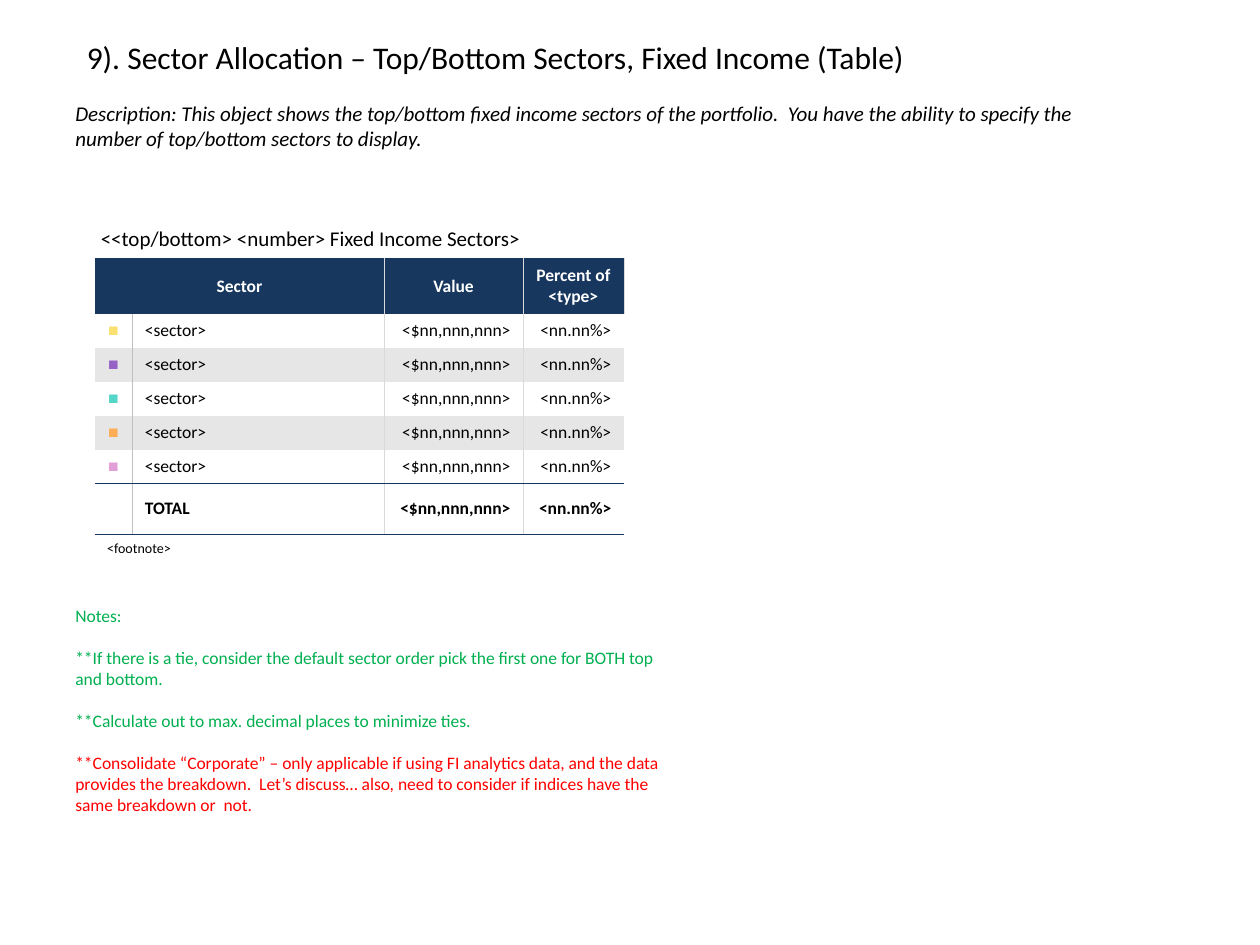
from lxml.etree import SubElement as Sub
from pptx import Presentation
from pptx.dml.color import RGBColor
from pptx.enum.text import MSO_ANCHOR as Anchor, PP_ALIGN as Align
from pptx.oxml.ns import qn
from pptx.util import Inches, Pt

NAVY, BLACK, WHITE = "17375E", "000000", "FFFFFF"
GRAY, PALE, BAND = "BFBFBF", "D9D9D9", "E6E6E6"
GREEN, RED = "00B050", "FF0000"
PLAIN = "{2D5ABB26-0587-4C30-8999-92F81FD0307C}"
MARKS = ["F9E070", "9663C4", "56D6C9", "FCAD56", "E29ED6"]
ALIGNS = [Align.CENTER, Align.LEFT, Align.RIGHT, Align.RIGHT]
VALUES = ["<$nn,nnn,nnn>", "<nn.nn%>"]


def paint(color):
    return RGBColor.from_string(color)


def style(para, size, color=BLACK, bold=False, slant=False, face="Calibri"):
    font = para.font
    font.name, font.size = face, Pt(size)
    font.bold, font.italic = bold, slant
    font.color.rgb = paint(color)


def add_text(slide, box, items, size, slant=False, wrap=True, gap=0, anchor=Anchor.TOP):
    frame = slide.shapes.add_textbox(*map(Inches, box)).text_frame
    frame.word_wrap = wrap
    frame.vertical_anchor = anchor
    for i, (text, color) in enumerate(items):
        para = frame.add_paragraph() if i else frame.paragraphs[0]
        para.text = text
        if i and gap:
            para.space_before = Pt(gap)
        style(para, size, color, slant=slant)


def add_edge(cell, side, color):
    line = Sub(cell._tc.get_or_add_tcPr(), qn("a:ln" + side), w="3175")
    fill = Sub(line, qn("a:solidFill"))
    Sub(fill, qn("a:srgbClr"), val=color)


def fill_cell(cell, text, fill, align, edges, size=10, color=BLACK, bold=False, face="Calibri"):
    for side in "LRTB":
        if side in edges:
            add_edge(cell, side, edges[side])
    if fill:
        cell.fill.solid()
        cell.fill.fore_color.rgb = paint(fill)
    cell.vertical_anchor = Anchor.MIDDLE
    if text:
        para = cell.text_frame.paragraphs[0]
        para.text = text
        para.alignment = align
        style(para, size, color, bold, face=face)


def col_edges(col):
    sides = {}
    if col > 0:
        sides["L"] = GRAY if col == 1 else PALE
    if col < 3:
        sides["R"] = GRAY if col == 0 else PALE
    return sides


def add_table(slide, box):
    table = slide.shapes.add_table(9, 4, *map(Inches, box)).table
    table.first_row = table.horz_banding = False
    table._tbl.tblPr.find(qn("a:tableStyleId")).text = PLAIN
    for col, width in zip(table.columns, [0.3, 2, 1.1, 0.8]):
        col.width = Inches(width)
    for row, height in zip(table.rows, [0.3, 0.44] + [0.27] * 6 + [0.18]):
        row.height = Inches(height)

    for row, last in [(0, 3), (1, 1), (8, 3)]:
        table.cell(row, 0).merge(table.cell(row, last))

    top = table.cell(0, 0)
    fill_cell(top, "<<top/bottom> <number> Fixed Income Sectors>", None, Align.LEFT, {}, 12)
    top.vertical_anchor = Anchor.BOTTOM
    top.margin_left = Inches(0.05)

    for col, text in enumerate(["Sector", "", "Value", "Percent of <type>"]):
        edges = {"R": PALE} if col < 2 else col_edges(col)
        fill_cell(table.cell(1, col), text, NAVY, Align.CENTER, edges, color=WHITE, bold=True)

    rows = [["■", "<sector>"] + VALUES] * 5 + [["", "TOTAL"] + VALUES]
    for i, texts in enumerate(rows):
        total = i == len(MARKS)
        rules = {"T": NAVY, "B": NAVY} if total else {"B": NAVY} if i == 4 else {}
        for col, text in enumerate(texts):
            mark = text == "■"
            fill_cell(
                table.cell(i + 2, col), text, BAND if i % 2 and not total else WHITE,
                ALIGNS[col], {**col_edges(col), **rules},
                color=MARKS[i] if mark else BLACK, bold=total,
                face="Arial" if mark else "Calibri",
            )

    for col in range(4):
        text = "" if col else "<footnote>"
        fill_cell(table.cell(8, col), text, WHITE, Align.LEFT, {"T": NAVY}, 8)


def add_notes(slide, box):
    notes = [
        ("Notes:", GREEN),
        ("**If there is a tie, consider the default sector order pick the first one for BOTH top and bottom.", GREEN),
        ("**Calculate out to max. decimal places to minimize ties.", GREEN),
        ("**Consolidate “Corporate” – only applicable if using FI analytics data, and the data provides "
         "the breakdown.  Let’s discuss… also, need to consider if indices have the same breakdown or  not.", RED),
    ]
    add_text(slide, box, notes, 10, gap=12)


def add_head(slide, title, about):
    add_text(slide, title, [("9). Sector Allocation – Top/Bottom Sectors, Fixed Income (Table)", BLACK)],
             18, wrap=False)
    text = ("Description: This object shows the top/bottom fixed income sectors of the portfolio.  "
            "You have the ability to specify the number of top/bottom sectors to display.")
    add_text(slide, about, [(text, BLACK)], 12, slant=True, anchor=Anchor.MIDDLE)


def main():
    deck = Presentation()
    deck.slide_width, deck.slide_height = Inches(10), Inches(7.5)
    slide = deck.slides.add_slide(deck.slide_layouts[6])
    add_head(slide, (0.59, 0.25, 6.75, 0.4), (0.5, 0.75, 8.5, 0.5))
    add_table(slide, (0.75, 1.75, 4.2, 2.54))
    add_notes(slide, (0.5, 4.75, 5, 1.94))
    deck.save("out.pptx")


if __name__ == "__main__":
    main()
